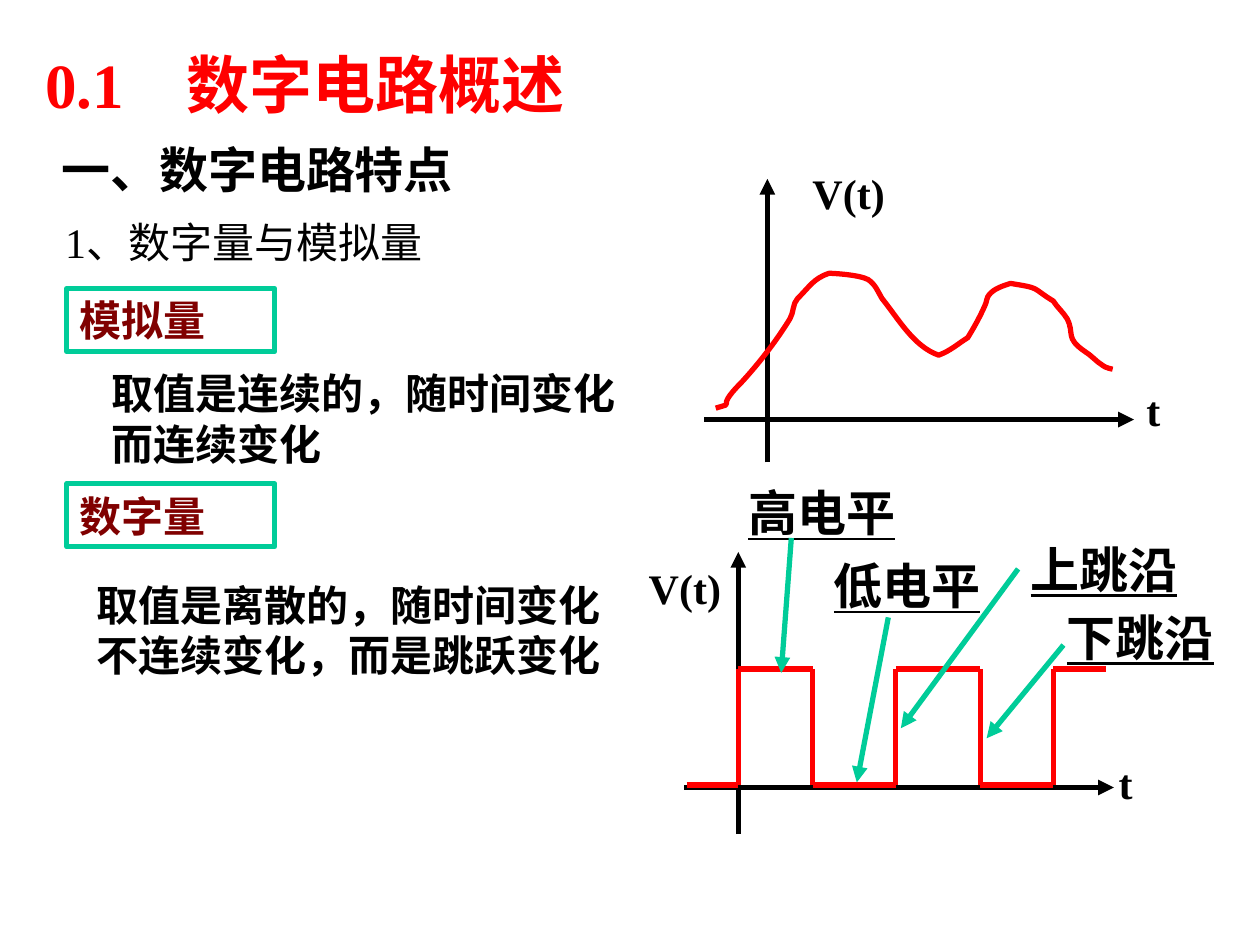
from pptx import Presentation
from pptx.dml.color import RGBColor
from pptx.enum.shapes import MSO_CONNECTOR, MSO_SHAPE
from pptx.enum.text import MSO_ANCHOR, MSO_AUTO_SIZE, PP_ALIGN
from pptx.oxml.ns import qn
from pptx.util import Pt
from lxml import etree

RECT = MSO_SHAPE.RECTANGLE
LINE = MSO_CONNECTOR.STRAIGHT
TOP, MIDDLE = MSO_ANCHOR.TOP, MSO_ANCHOR.MIDDLE
GROW = MSO_AUTO_SIZE.SHAPE_TO_FIT_TEXT
LEFT = PP_ALIGN.LEFT

FONT = "Times New Roman"
COLORS = {"red": "FF0000", "black": "000000", "green": "00CC99", "maroon": "800000"}

# Analog signal: a start, then three points for each Bezier piece
CURVE = [
    (409, 233.3),
    (422.6, 229), (406.8, 235.4), (423.4, 218.9),
    (433.4, 208.1), (443.5, 195.1), (451.4, 182.2),
    (453.6, 178.6), (452.9, 173.5), (455.8, 170.6),
    (463, 163.4), (465.1, 159.1), (473.8, 156.2),
    (475.9, 156.2), (491, 157), (496.1, 159.8),
    (500.4, 162.7), (501.8, 167), (504, 170.6),
    (513.4, 182.2), (522, 198), (536.4, 203),
    (543.6, 200.2), (547.2, 196.6), (553, 193),
    (556.6, 187.2), (560.2, 180.7), (563, 174.2),
    (563.8, 172.8), (563.8, 169.9), (565.2, 168.5),
    (568.1, 164.9), (573.1, 163.4), (577.4, 162),
    (595.4, 164.9), (589, 164.2), (601.9, 172.1),
    (604.1, 175.7), (607.7, 178.6), (609.8, 182.2),
    (614.2, 190.8), (608.4, 193), (619.9, 200.9),
    (623.5, 203), (626.4, 206.6), (630, 208.8),
    (631.4, 210.2), (635.8, 211), (635.8, 211),
]

# Digital signal: where the level changes, and the two levels
EDGES = [392.4, 421.9, 464.4, 511.9, 560.2, 601.9, 632.2]
LOW, HIGH = 448.6, 382.3


def rgb(name):
    return RGBColor.from_string(COLORS[name])


def stroke(shape, color):
    shape.line.color.rgb = rgb(color)
    shape.line.width = Pt(3)


def text(slide, words, x, y, w, h, size=24, color="black", bold=True,
         under=False, anchor=TOP, frame=None, tab=None):
    area = Pt(x), Pt(y), Pt(w), Pt(h)
    if frame:
        box = slide.shapes.add_shape(RECT, *area)
        box.shadow.inherit = False
        box.fill.background()
        stroke(box, frame)
    else:
        box = slide.shapes.add_textbox(*area)
    body = box.text_frame
    body.word_wrap = True
    body.vertical_anchor = anchor
    if anchor == TOP:
        body.auto_size = GROW
    para = body.paragraphs[0]
    para.alignment = LEFT
    if tab:
        stops = etree.SubElement(para._p.get_or_add_pPr(), qn("a:tabLst"))
        etree.SubElement(stops, qn("a:tab"), pos=str(Pt(tab)), algn="l")
    run = para.add_run()
    run.text = words
    font = run.font
    font.name, font.size, font.bold = FONT, Pt(size), bold
    font.underline = under
    font.color.rgb = rgb(color)
    return box


def line(slide, start, end, color, arrow=False):
    link = slide.shapes.add_connector(LINE, *map(Pt, start + end))
    stroke(link, color)
    if arrow:
        etree.SubElement(link.line._get_or_add_ln(), qn("a:tailEnd"), type="triangle")
    etree.SubElement(link._element.spPr, qn("a:effectLst"))
    return link


def axes(slide, x, y, left, right, up, down):
    line(slide, (x - left, y), (x + right, y), "black", arrow=True)
    line(slide, (x, y + down), (x, y - up), "black", arrow=True)


def curve(slide, points, color):
    dots = [(Pt(x), Pt(y)) for x, y in points]
    pen = slide.shapes.build_freeform(*dots[0])
    pen.add_line_segments(dots[1:], close=False)
    shape = pen.convert_to_shape()
    shape.shadow.inherit = False
    shape.fill.background()
    stroke(shape, color)
    # Turn each three straight pieces into one Bezier piece
    steps = list(shape._element.iter(qn("a:lnTo")))
    for i in range(0, len(steps), 3):
        bend = etree.Element(qn("a:cubicBezTo"))
        steps[i].addprevious(bend)
        for step in steps[i:i + 3]:
            bend.append(step[0])
            step.getparent().remove(step)


def wave(slide, edges, color):
    points = [(edges[0], LOW)]
    level, other = LOW, HIGH
    for x in edges[1:-1]:
        points += [(x, level), (x, other)]
        level, other = other, level
    points.append((edges[-1], level))
    for start, end in zip(points, points[1:]):
        line(slide, start, end, color)


def label(slide, words, x, y, w, start, tip, side=None):
    box = text(slide, words, x, y, w, 41, size=28, under=True)
    link = line(slide, start, tip, "green", arrow=True)
    if side is not None:
        link.begin_connect(box, side)


def main():
    deck = Presentation()
    deck.slide_width, deck.slide_height = Pt(720), Pt(540)
    slide = deck.slides.add_slide(deck.slide_layouts[6])

    # Headings
    text(slide, "0.1\t数字电路概述", 18.7, 22.3, 461, 50.4, size=36, color="red", tab=80.6)
    text(slide, "一、数字电路特点", 28, 70.6, 342, 51.8, size=28, anchor=MIDDLE)
    text(slide, "1、数字量与模拟量", 30.2, 120.2, 269.3, 36, bold=False)

    # Framed terms and their meanings
    for term, y in (("模拟量", 164.9), ("数字量", 276.5)):
        text(slide, term, 38.2, y, 118.8, 36, color="maroon", frame="green")
    text(slide, "取值是连续的，随时间变化而连续变化", 56.9, 206.6, 317.5, 65.5)
    text(slide, "取值是离散的，随时间变化不连续变化，而是跳跃变化", 48.2, 327.6, 321.8, 65.5)

    # Analog graph
    axes(slide, 438.5, 239.8, left=36, right=209.5, up=137.6, down=24.4)
    text(slide, "t", 648, 216, 48.2, 36)
    text(slide, "V(t)", 457.2, 92.2, 79.2, 36)
    curve(slide, CURVE, "red")

    # Digital graph
    axes(slide, 421.9, 450, left=31, right=214.6, up=134.6, down=26.6)
    text(slide, "t", 632.2, 429.1, 48.2, 36)
    text(slide, "V(t)", 363.6, 318.2, 61.2, 36)
    wave(slide, EDGES, "red")

    # Labels of the digital graph
    label(slide, "高电平", 420.5, 272.2, 113.8, (452.2, 307.4), (446.4, 384.5))
    label(slide, "低电平", 469.4, 313.9, 103.7, (507.6, 352.8), (489.6, 447.1))
    label(slide, "上跳沿", 581.8, 304.6, 102.2, (581, 326.9), (514.8, 416.2), side=1)
    label(slide, "下跳沿", 602.6, 343.4, 108, (607.7, 368.6), (563.8, 421.9))

    deck.save("out.pptx")


if __name__ == "__main__":
    main()
